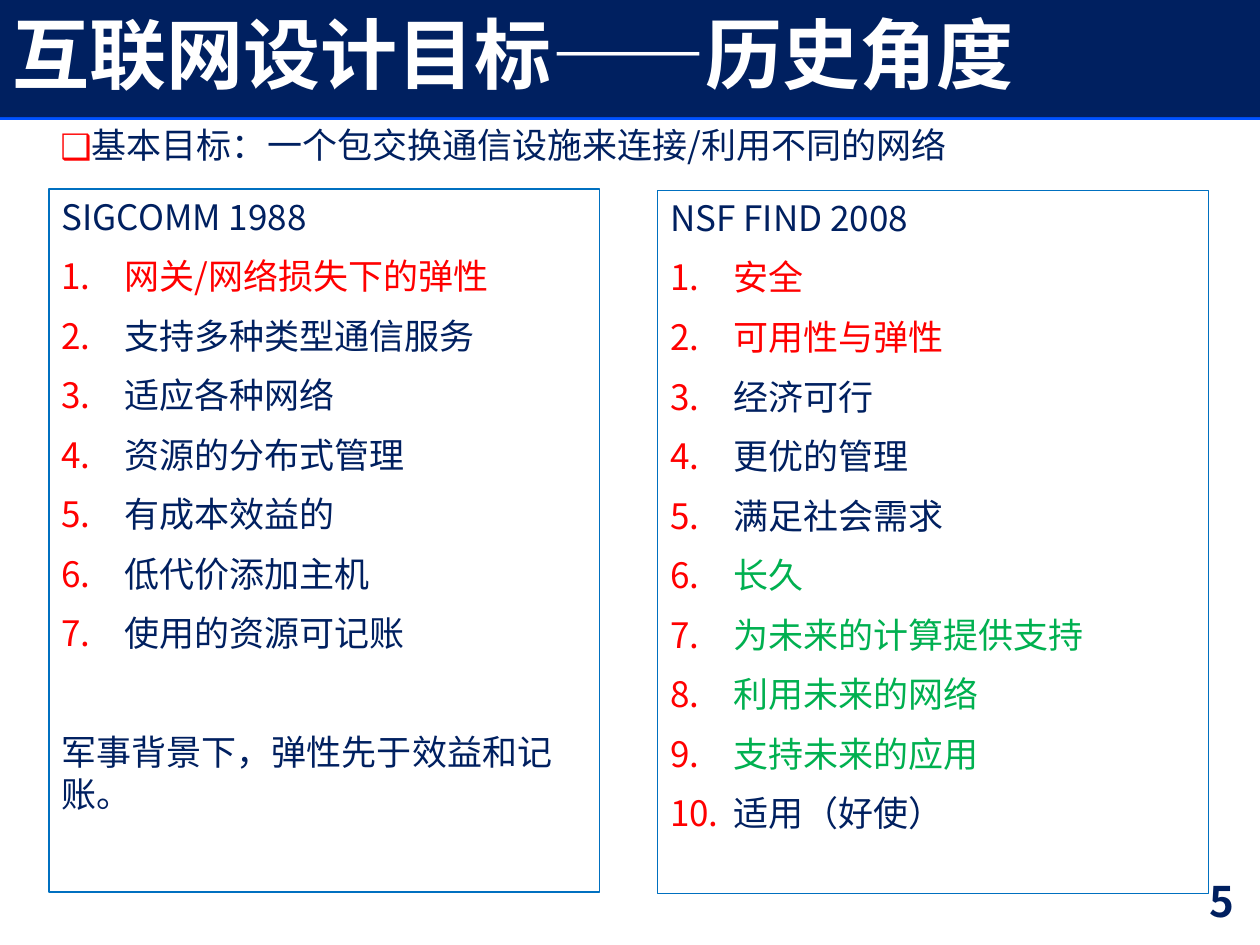
import pptx
import pptx.util
import pptx.dml.color
import pptx.enum.shapes
import pptx.enum.text
from lxml import etree
from dataclasses import dataclass
from pptx.util import Inches, Pt
from pptx.oxml.ns import qn

ALIGN = pptx.enum.text.PP_ALIGN
ANCHOR = pptx.enum.text.MSO_ANCHOR


@dataclass(frozen=True)
class Theme:
    face: str = "Noto Sans CJK SC"
    navy: str = "002060"
    red: str = "FF0000"
    green: str = "00B050"
    white: str = "FFFFFF"
    edge: str = "0070C0"
    rule: str = "0052FF"
    head: int = 44
    text: int = 20
    page: int = 24
    gap: int = 10


T = Theme()

OLD = ("SIGCOMM 1988", [
    ("网关/网络损失下的弹性", T.red),
    ("支持多种类型通信服务", T.navy),
    ("适应各种网络", T.navy),
    ("资源的分布式管理", T.navy),
    ("有成本效益的", T.navy),
    ("低代价添加主机", T.navy),
    ("使用的资源可记账", T.navy),
])
NEW = ("NSF FIND 2008", [
    ("安全", T.red),
    ("可用性与弹性", T.red),
    ("经济可行", T.navy),
    ("更优的管理", T.navy),
    ("满足社会需求", T.navy),
    ("长久", T.green),
    ("为未来的计算提供支持", T.green),
    ("利用未来的网络", T.green),
    ("支持未来的应用", T.green),
    ("适用（好使）", T.navy),
])


def rgb(code):
    return pptx.dml.color.RGBColor.from_string(code)


def style(para, size, color, bold=False):
    font = para.font
    font.name, font.size, font.bold = T.face, Pt(size), bold
    font.color.rgb = rgb(color)
    # East Asian face follows the Latin one
    font._rPr.find(qn("a:latin")).addnext(
        etree.Element(qn("a:ea"), typeface=T.face))


def bullet(para, indent, tag, **attrs):
    props = para._p.get_or_add_pPr()
    props.set("marL", str(Inches(indent)))
    props.set("indent", str(-Inches(indent)))
    tint = etree.SubElement(props, qn("a:buClr"))
    etree.SubElement(tint, qn("a:srgbClr"), val=T.red)
    etree.SubElement(props, qn("a:buFont"), typeface=T.face)
    etree.SubElement(props, qn(tag), **attrs)


def write(para, text, color=T.navy, gap=T.gap):
    para.text = text
    para.alignment = ALIGN.LEFT
    para.space_before = Pt(gap)
    style(para, T.text, color)


def add_title(slide, text):
    title = slide.shapes.title
    title.left, title.top = Inches(0), Inches(0)
    title.width, title.height = Inches(10), Inches(0.93)
    title.fill.solid()
    title.fill.fore_color.rgb = rgb(T.navy)
    frame = title.text_frame
    frame.text = text
    frame.auto_size = pptx.enum.text.MSO_AUTO_SIZE.NONE
    frame.vertical_anchor = ANCHOR.MIDDLE
    para = frame.paragraphs[0]
    para.alignment = ALIGN.LEFT
    para.line_spacing = 0.9
    style(para, T.head, T.white, True)
    # The bar lies over the rule
    slide.shapes._spTree.append(title._element)


def add_rule(slide):
    line = slide.shapes.add_connector(
        pptx.enum.shapes.MSO_CONNECTOR.STRAIGHT,
        Inches(0), Inches(0.92), Inches(10), Inches(0.92))
    line.line.color.rgb = rgb(T.rule)
    line.line.width = Pt(5)
    etree.SubElement(line._element.spPr, qn("a:effectLst"))


def add_text(slide, left, top, width, height):
    box = slide.shapes.add_textbox(
        Inches(left), Inches(top), Inches(width), Inches(height))
    box.text_frame.word_wrap = True
    return box.text_frame


def add_goal(slide, text):
    para = add_text(slide, 0.38, 0.93, 9.51, 0.4).paragraphs[0]
    bullet(para, 0.25, "a:buChar", char="❑")
    write(para, text, gap=0)


def add_page(slide, text):
    frame = add_text(slide, 7.64, 6.95, 2.25, 0.4)
    frame.vertical_anchor = ANCHOR.MIDDLE
    para = frame.paragraphs[0]
    para.text = text
    para.alignment = ALIGN.RIGHT
    style(para, T.page, T.navy, True)


def add_panel(slide, left, top, panel, note=None):
    head, goals = panel
    box = slide.shapes.add_shape(
        pptx.enum.shapes.MSO_SHAPE.RECTANGLE,
        Inches(left), Inches(top), Inches(4.37), Inches(5.58))
    box.shadow.inherit = False
    box.fill.background()
    box.line.color.rgb = rgb(T.edge)
    box.line.width = Pt(0.75)
    frame = box.text_frame
    frame.word_wrap = True
    frame.vertical_anchor = ANCHOR.TOP
    write(frame.paragraphs[0], head, gap=0)
    for text, color in goals:
        para = frame.add_paragraph()
        bullet(para, 0.5, "a:buAutoNum", type="arabicPeriod")
        write(para, text, color)
    if note:
        # One line is left open above the note
        write(frame.add_paragraph(), note, gap=44)


def main():
    deck = pptx.Presentation()
    deck.slide_width, deck.slide_height = Inches(10), Inches(7.5)
    slide = deck.slides.add_slide(deck.slide_layouts[5])

    # Header
    add_rule(slide)
    add_title(slide, "互联网设计目标——历史角度")
    add_goal(slide, "基本目标：一个包交换通信设施来连接/利用不同的网络")

    # Page number and the two goal lists
    add_page(slide, "5")
    add_panel(slide, 0.39, 1.5, OLD, "军事背景下，弹性先于效益和记账。")
    add_panel(slide, 5.22, 1.51, NEW)

    deck.save("out.pptx")


if __name__ == "__main__":
    main()
